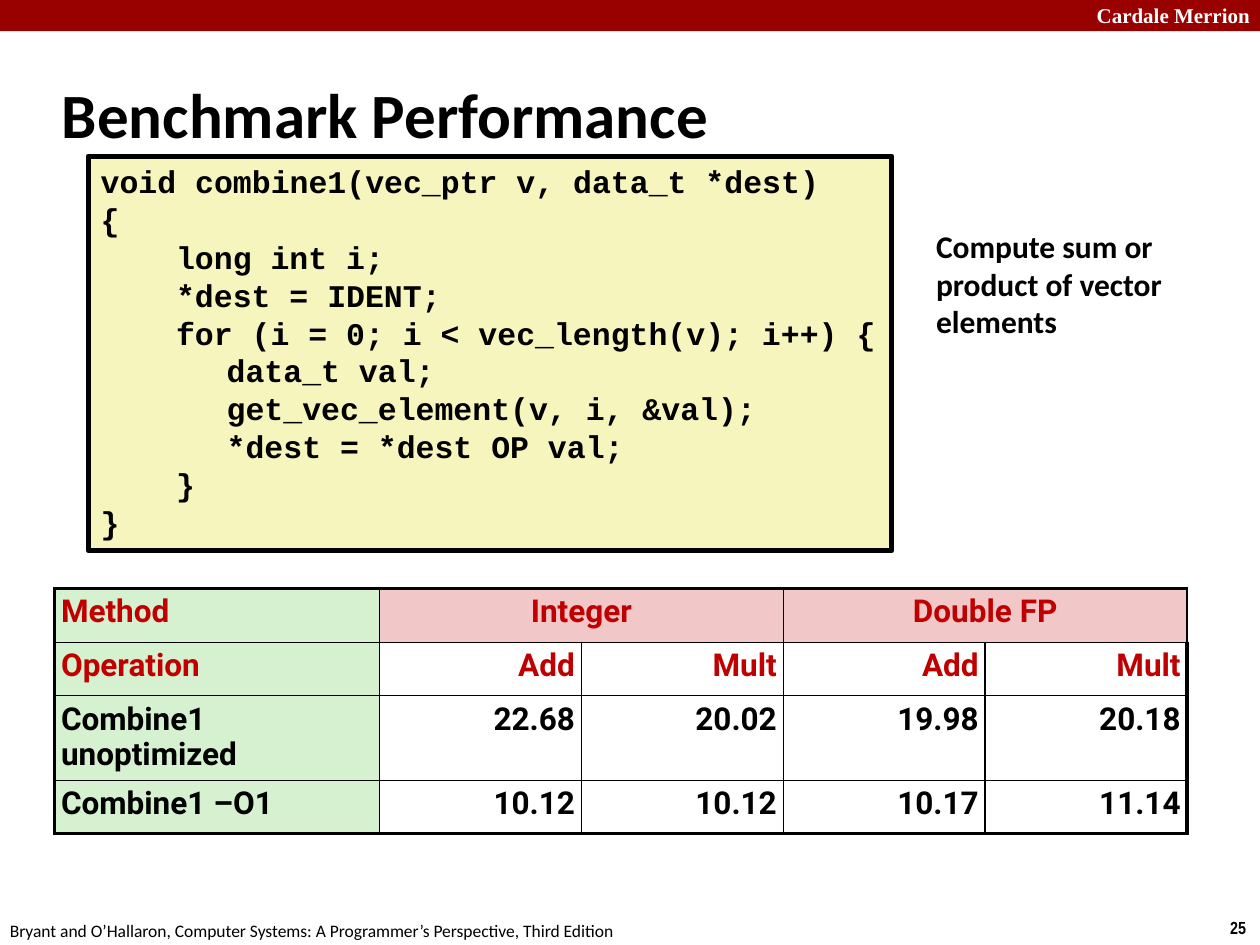
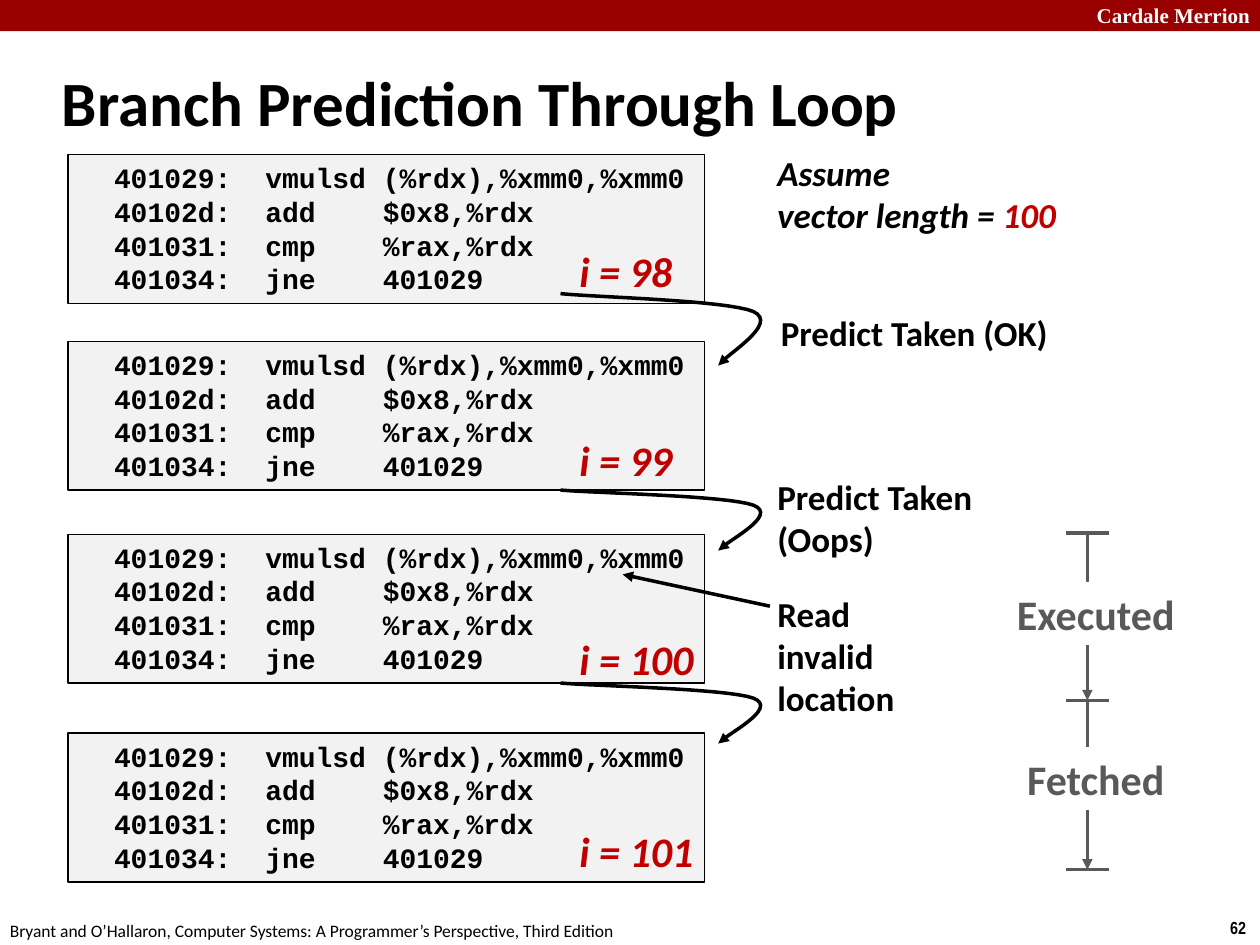
from lxml import etree
from pptx import Presentation
from pptx.dml.color import RGBColor
from pptx.enum import shapes, text
from pptx.oxml import ns
from pptx.util import Cm, Pt

BLACK, WHITE, RED, GREY = "000000", "FFFFFF", "C00000", "595959"
LEFT, CENTER, RIGHT = text.PP_ALIGN.LEFT, text.PP_ALIGN.CENTER, text.PP_ALIGN.RIGHT
RECT = shapes.MSO_SHAPE.RECTANGLE
STRAIGHT = shapes.MSO_CONNECTOR.STRAIGHT


def rgb(code):
    return RGBColor.from_string(code)


def add_box(page, place, words, font, size, color=BLACK, bold=True, italic=False,
            align=LEFT, fill=None, border=None):
    """Add a text box, or a rectangle when a fill is given, and style its text."""
    place = [Cm(length) for length in place]
    if fill:
        box = page.shapes.add_shape(RECT, *place)
        box.shadow.inherit = False
        box.fill.solid()
        box.fill.fore_color.rgb = rgb(fill)
        if border:
            box.line.color.rgb = rgb(BLACK)
            box.line.width = Pt(border)
        else:
            box.line.fill.background()
    else:
        box = page.shapes.add_textbox(*place)
    frame = box.text_frame
    frame.text = words
    frame.word_wrap = True
    frame.vertical_anchor = text.MSO_ANCHOR.TOP
    for para in frame.paragraphs:
        para.alignment = align
        for span in para.runs:
            span.font.name = font
            span.font.size = Pt(size)
            span.font.bold = bold
            span.font.italic = italic
            span.font.color.rgb = rgb(color)
    return box


deck = Presentation()
deck.slide_width, deck.slide_height = Cm(25.4), Cm(19.05)

# Shared frame: band, header, footer, page number and title
pages = []
for title, number, title_height in [("Benchmark Performance", "25", 2.11),
                                    ("Branch Prediction Through Loop", "62", 1.6)]:
    page = deck.slides.add_slide(deck.slide_layouts[6])
    add_box(page, (0, 0, 25.4, 0.63), "", "Calibri", 12, fill="990000")
    add_box(page, (20, -0.08, 5.45, 0.76), "Cardale Merrion", "Times New Roman", 12,
            WHITE, align=RIGHT)
    add_box(page, (23.5, 18.36, 1.87, 0.69), number, "Arial Narrow", 10, align=RIGHT)
    add_box(page, (-0.05, 18.42, 14, 0.69),
            "Bryant and O’Hallaron, Computer Systems: A Programmer’s Perspective, Third Edition",
            "Calibri", 10, bold=False)
    box = add_box(page, (1, 1.24, 21.8, title_height), title, "Calibri", 36)
    box.text_frame.vertical_anchor = text.MSO_ANCHOR.MIDDLE
    pages.append(page)
benchmark, prediction = pages

# Benchmark: code listing, each line with its indent
listing = [
    (0, "void combine1(vec_ptr v, data_t *dest)"),
    (0, "{"),
    (1.52, "long int i;"),
    (1.52, "*dest = IDENT;"),
    (1.52, "for (i = 0; i < vec_length(v); i++) {"),
    (2.54, "data_t val;"),
    (2.54, "get_vec_element(v, i, &val);"),
    (2.54, "*dest = *dest OP val;"),
    (1.52, "}"),
    (0, "}"),
]
box = add_box(benchmark, (1.78, 3.15, 16.2, 7.95), "\n".join(line for _, line in listing),
              "Courier New", 18, fill="F6F5BD", border=3)
box.text_frame.margin_right = 0
for para, (indent, _) in zip(box.text_frame.paragraphs, listing):
    properties = para._p.get_or_add_pPr()
    properties.set("marL", str(Cm(indent)))
    properties.set("indent", "0")

add_box(benchmark, (18.62, 4.45, 6.78, 2.57), "Compute sum or product of vector elements",
        "Calibri", 18)

# Benchmark: table of results
rows = [
    ["Method", "Integer", "", "Double FP", ""],
    ["Operation", "Add", "Mult", "Add", "Mult"],
    ["Combine1 unoptimized", "22.68", "20.02", "19.98", "20.18"],
    ["Combine1 –O1", "10.12", "10.12", "10.17", "11.14"],
]
heights = [1.09, 1.07, 1.7, 1.07]
widths = [6.55] + [4.07] * 4
table = benchmark.shapes.add_table(len(rows), len(widths), Cm(1.1), Cm(11.86),
                                   Cm(sum(widths)), Cm(sum(heights))).table
table.first_row = table.horz_banding = False
for row, height in zip(table.rows, heights):
    row.height = Cm(height)
for column, width in zip(table.columns, widths):
    column.width = Cm(width)
for first in (1, 3):
    table.cell(0, first).merge(table.cell(0, first + 1))

for r, row in enumerate(rows):
    for c, words in enumerate(row):
        cell = table.cell(r, c)
        cell.margin_left = cell.margin_right = Cm(0.13)
        cell.margin_top = cell.margin_bottom = Cm(0.13)
        # Heavy lines outside, thin lines inside
        outer = {"lnL": c == 0, "lnR": c == len(row) - 1,
                 "lnT": r == 0, "lnB": r == len(rows) - 1}
        for side, heavy in outer.items():
            edge = etree.SubElement(cell._tc.get_or_add_tcPr(), ns.qn("a:" + side),
                                    w=str(Pt(2.25 if heavy else 1)))
            paint = etree.SubElement(edge, ns.qn("a:solidFill"))
            etree.SubElement(paint, ns.qn("a:srgbClr"), val=BLACK)
        if c == 0 or r == 0:
            cell.fill.solid()
            cell.fill.fore_color.rgb = rgb("D5F1CF" if c == 0 else "F1C7C7")
        else:
            cell.fill.background()
        if not words:
            continue
        cell.text = words
        para = cell.text_frame.paragraphs[0]
        para.alignment = LEFT if c == 0 else CENTER if r == 0 else RIGHT
        para.line_spacing = 0.95
        font = para.runs[0].font
        font.name, font.size, font.bold = "Roboto", Pt(18), True
        font.color.rgb = rgb(RED if r < 2 else BLACK)

# Prediction: one block of instructions per iteration
instructions = "\n".join([
    "401029:\tvmulsd\t(%rdx),%xmm0,%xmm0",
    "40102d:\tadd\t$0x8,%rdx",
    "401031:\tcmp\t%rax,%rdx",
    "401034:\tjne\t401029",
])
for top, label_top, count in [(3.12, 4.83, 98), (6.88, 8.64, 99),
                              (10.77, 12.65, 100), (14.78, 16.51, 101)]:
    box = add_box(prediction, (1.37, top, 12.83, 3), instructions, "Courier New", 16,
                  fill="F2F2F2", border=0.75)
    box.text_frame.margin_left = Cm(0.93)
    for para in box.text_frame.paragraphs:
        stops = etree.SubElement(para._p.get_or_add_pPr(), ns.qn("a:tabLst"))
        for stop in (3.05, 5.42):
            etree.SubElement(stops, ns.qn("a:tab"), pos=str(Cm(stop)), algn="l")
    add_box(prediction, (11.43, label_top, 3.2, 1.27), f"i = {count}", "Calibri", 24,
            RED, italic=True)

# Prediction: curved arrows, two Bezier arcs each, heights as shares of the whole
arcs = [
    [(0, 0), (0.66, 0.05), (3.35, 0.09), (3.89, 0.25)],
    [(3.89, 0.25), (4.42, 0.42), (3.33, 0.85), (3.18, 1)],
]
steps = 16
strokes = []  # (shape, colour, has arrowhead)
for top, height in [(5.92, 1.45), (9.88, 1.22), (13.77, 1.22)]:
    points = []
    for arc in arcs:
        for step in range(1, steps + 1):
            t = step / steps
            weights = [(1 - t) ** 3, 3 * t * (1 - t) ** 2, 3 * t * t * (1 - t), t ** 3]
            x = sum(weight * point[0] for weight, point in zip(weights, arc))
            y = sum(weight * point[1] for weight, point in zip(weights, arc))
            points.append((Cm(11.3 + x), Cm(top + height * y)))
    builder = prediction.shapes.build_freeform(Cm(11.3), Cm(top))
    builder.add_line_segments(points, close=False)
    curve = builder.convert_to_shape()
    curve.fill.background()
    strokes.append((curve, BLACK, True))

# Prediction: pointer to the bad read, then the time axis with its ticks
axis, ticks = 21.92, [10.74, 14.12, 17.53]
lines = [(15.52, 12.22, 12.55, 11.58, BLACK, True)]
lines += [(axis, start, axis, end, GREY, True) for start, end in zip(ticks, ticks[1:])]
lines += [(axis - 0.43, tick, axis + 0.43, tick, GREY, False) for tick in ticks]
for *ends, color, arrow in lines:
    line = prediction.shapes.add_connector(STRAIGHT, *[Cm(end) for end in ends])
    strokes.append((line, color, arrow))

for stroke, color, arrow in strokes:
    stroke.line.color.rgb = rgb(color)
    stroke.line.width = Pt(2)
    outline = stroke.element.spPr
    if arrow:
        etree.SubElement(outline.find(ns.qn("a:ln")), ns.qn("a:tailEnd"), type="triangle")
    etree.SubElement(outline, ns.qn("a:effectLst"))

# Prediction: axis labels and remarks
for words, top, width in [("Executed", 11.73, 3.73), ("Fetched", 15.06, 3.3)]:
    add_box(prediction, (22.09 - width / 2, top, width, 1.27), words, "Calibri", 24, GREY,
            align=CENTER, fill=WHITE)
for words, left, top, width, height in [
    ("Predict Taken (OK)", 15.49, 6.15, 6.3, 1.12),
    ("Predict Taken\n(Oops)", 15.42, 9.47, 4.8, 1.96),
    ("Read invalid location", 15.42, 11.81, 3.61, 2.82),
]:
    add_box(prediction, (left, top, width, height), words, "Calibri", 20)

place = (15.42, 2.92, 6.5, 1.96)
box = add_box(prediction, place, "Assume\nvector length = ", "Calibri", 20, italic=True)
span = box.text_frame.paragraphs[1].add_run()
span.text = "100"
span.font.name, span.font.size = "Calibri", Pt(20)
span.font.bold = span.font.italic = True
span.font.color.rgb = rgb(RED)

deck.save("out.pptx")
